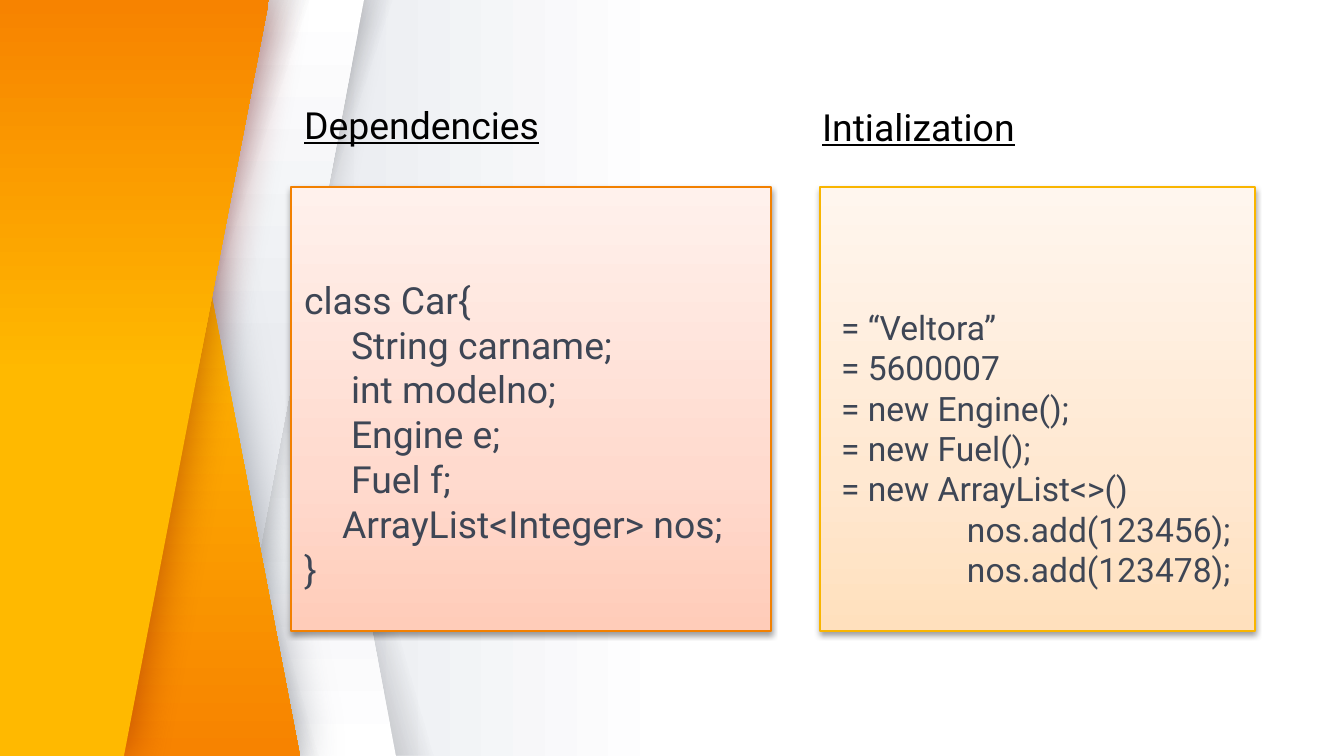
from dataclasses import dataclass

from lxml.etree import SubElement as Sub
from pptx import Presentation
from pptx.dml.color import RGBColor as RGB
from pptx.enum.shapes import MSO_SHAPE as Kind
from pptx.enum.text import MSO_ANCHOR as Anchor, MSO_AUTO_SIZE as Fit, PP_ALIGN as Align
from pptx.oxml.ns import qn
from pptx.util import Pt

PX = 914400 / 134.4
WIDE, HIGH = 1344, 756


@dataclass
class Theme:
    font: str = "Roboto"
    black: str = "000000"
    ink: str = "3E4655"
    red: str = "7E0808"
    back: tuple = ((0, "FFFFFF"), (50, "FFFFFF"), (76, "EAECF0"), (100, "EAECF0"))
    shade: tuple = ((0, "3E4655"), (13, "3E4655"), (55, "27252C", 0), (100, "27252C", 0))
    pale: tuple = ((0, "FFFFFF"), (47, "EAECF0"), (100, "EAECF0"))
    low: tuple = ((0, "FFB900"), (37, "FFB900"), (100, "F78300"))
    high: tuple = ((0, "FFB900"), (50, "FFB900"), (100, "F78300"))
    rose: tuple = ((0, "FFCCB9"), (35, "FFDACE"), (100, "FFF1EC"))
    sand: tuple = ((0, "FFE0BD"), (35, "FFE8D1"), (100, "FFF6EE"))
    edge: tuple = ("F28000", "F9B500")
    head: int = 20
    code: tuple = (20, 18)


theme = Theme()


def paint(item, stops, angle, line=None, glow=None):
    """Fill with a gradient; a shape also gets its line and shadow."""
    item.fill.gradient()
    grad = item.fill._xPr.find(qn("a:gradFill"))
    grad.clear()
    grad.set("rotWithShape", "1")
    row = Sub(grad, qn("a:gsLst"))
    for at, tone, *alpha in stops:
        stop = Sub(row, qn("a:gs"), pos=str(at * 1000))
        tint = Sub(stop, qn("a:srgbClr"), val=tone)
        for part in alpha:
            Sub(tint, qn("a:alpha"), val=str(part * 1000))
    Sub(grad, qn("a:lin"), ang=str(angle * 60000), scaled="0")
    if not hasattr(item, "line"):
        return
    if line:
        item.line.color.rgb = RGB.from_string(line)
        item.line.width = Pt(0.75)
    else:
        item.line.fill.background()
    item.shadow.inherit = False
    if glow:
        tone, alpha, blur, dist = glow
        cast = Sub(item.element.spPr.find(qn("a:effectLst")), qn("a:outerShdw"),
                   blurRad=str(Pt(blur)), dist=str(Pt(dist)), dir="5400000",
                   algn="ctr", rotWithShape="0")
        tint = Sub(cast, qn("a:srgbClr"), val=tone)
        Sub(tint, qn("a:alpha"), val=str(alpha * 1000))


def write(shape, lines, size, color, top=7, under=False):
    """Set lines of (indent, text) from the top of a shape."""
    frame = shape.text_frame
    frame.auto_size = Fit.NONE
    frame.word_wrap = True
    frame.vertical_anchor = Anchor.TOP
    frame.margin_left = frame.margin_right = round(13 * PX)
    frame.margin_top, frame.margin_bottom = round(top * PX), 0
    for i, (indent, text) in enumerate(lines):
        para = frame.add_paragraph() if i else frame.paragraphs[0]
        para.alignment = Align.LEFT
        para.space_before = Pt(0)
        props = para._p.get_or_add_pPr()
        props.set("marL", str(round(indent * PX)))
        props.set("indent", "0")
        run = para.add_run()
        run.text = text
        font = run.font
        font.name, font.size, font.bold = theme.font, Pt(size), False
        font.underline = under
        font.color.rgb = RGB.from_string(color)


deck = Presentation()
deck.slide_width, deck.slide_height = round(WIDE * PX), round(HIGH * PX)
slide = deck.slides.add_slide(deck.slide_layouts[4])
shapes = slide.shapes
paint(slide.background, theme.back, 180)

# Folded ribbons: each has a slanted shade below its face
ribs = [
    # shade left, face (left or points), stops, angle, glow
    (144, 87, theme.pale, 270, None),
    (87, 55, theme.pale, 90, (theme.black, 20, 16.9, 0)),
    (30, [(0, 0), (0, HIGH), (300, HIGH), (155, 0)], theme.low, 90,
     (theme.ink, 50, 24.8, 0)),
    (4, [(0, HIGH), (0, 0), (269, 0), (124, HIGH)], theme.high, 270,
     (theme.red, 50, 24.8, 0)),
]
for i, (left, face, stops, angle, glow) in enumerate(ribs):
    flip = i % 2 == 0
    slants = [(left, 0.753, theme.shade, 196 if flip else 18, None)]
    if isinstance(face, int):
        slants.append((face, 0.463, stops, angle, glow))
    for x, lean, tones, turn, cast in slants:
        slant = shapes.add_shape(Kind.PARALLELOGRAM, round(x * PX), 0,
                                 round(309 * PX), round(HIGH * PX))
        slant.adjustments[0] = lean
        if flip:
            slant.element.spPr.xfrm.set("flipH", "1")
        paint(slant, tones, turn, glow=cast)
    if isinstance(face, list):
        pen = shapes.build_freeform(*face[0], scale=PX)
        pen.add_line_segments(face[1:], close=True)
        paint(pen.convert_to_shape(), stops, angle, glow=glow)

# Code boxes
fields = [(0, "class Car{"), (47, "String carname;"), (47, "int modelno;"),
          (47, "Engine e;"), (47, "Fuel f;"),
          (38, "ArrayList<Integer> nos;"), (0, "}")]
values = [(8, "= “Veltora”"), (8, "= 5600007"), (8, "= new Engine();"),
          (8, "= new Fuel();"), (8, "= new ArrayList<>()"),
          (134, "nos.add(123456);"), (134, "nos.add(123478);")]
boxes = [(291, 480, theme.rose, fields, 90), (820, 435, theme.sand, values, 120)]
for (left, width, stops, lines, top), edge, size in zip(boxes, theme.edge, theme.code):
    box = shapes.add_shape(Kind.RECTANGLE, round(left * PX), round(187 * PX),
                           round(width * PX), round(444 * PX))
    paint(box, stops, 270, line=edge, glow=(theme.black, 38, 3.1, 1.6))
    write(box, lines, size, theme.ink, top=top)

# Headings go in front; unused placeholders go out
heads = {1: ("Dependencies", 291, 95, 444), 3: ("Intialization", 809, 97, 353)}
for hold in list(slide.placeholders):
    key = hold.placeholder_format.idx
    if key not in heads:
        hold.element.getparent().remove(hold.element)
        continue
    text, left, top, width = heads[key]
    hold.left, hold.top = round(left * PX), round(top * PX)
    hold.width, hold.height = round(width * PX), round(59 * PX)
    write(hold, [(0, text)], theme.head, theme.black, under=True)
    shapes.element.append(hold.element)

deck.save("out.pptx")
